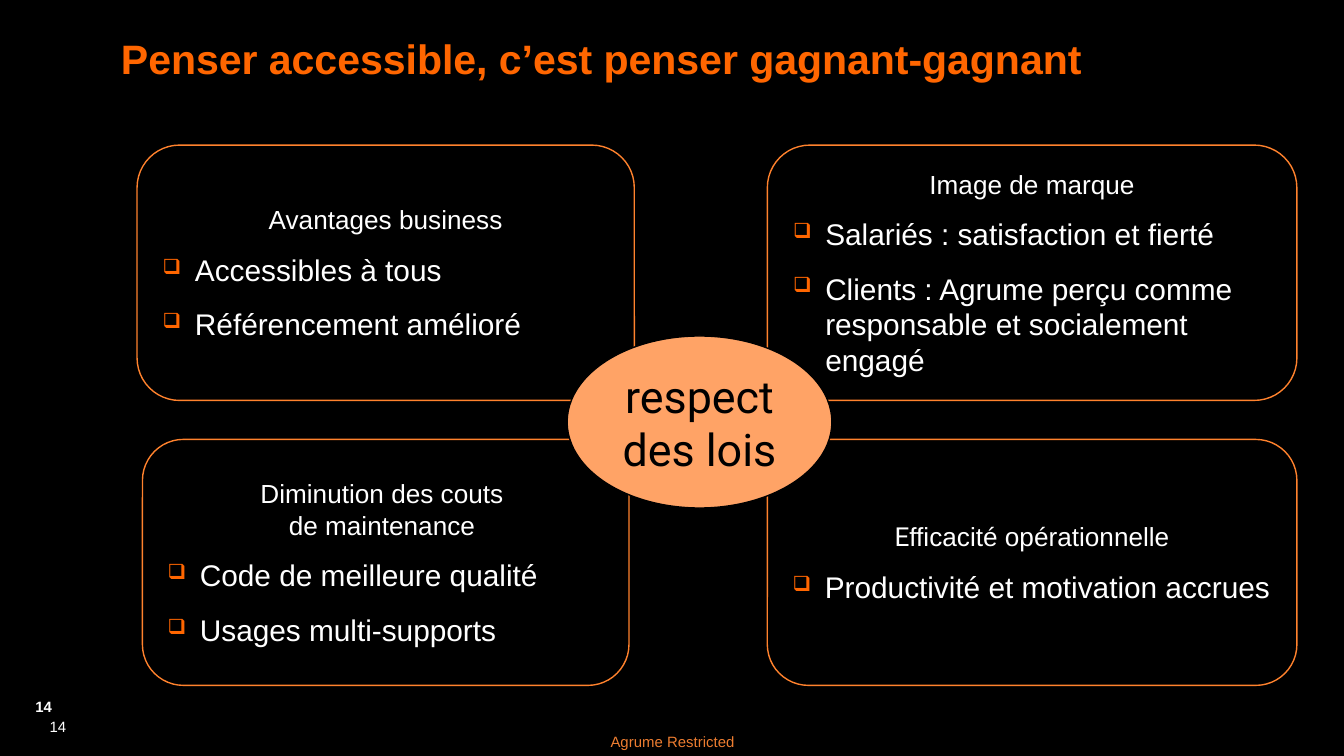
from dataclasses import dataclass

from lxml import etree
from pptx import Presentation
from pptx import util as u
from pptx.dml.color import RGBColor
from pptx.enum import shapes, text
from pptx.oxml.ns import qn


@dataclass(frozen=True)
class Theme:
    ground: str = "000000"
    ink: str = "FFFFFF"
    accent: str = "FF6600"
    outline: str = "FF822D"
    core: str = "FFA366"
    notice: str = "ED7D31"
    sans: str = "Arial"
    display: str = "Roboto"
    title: int = 22
    core_size: int = 24
    item: int = 16
    heading: int = 14
    small: int = 8


class SlideBuilder:
    """Places elements on a grid of 100 columns; cells are square."""

    COLUMNS = 100

    def __init__(self, deck, theme):
        self.theme = theme
        self.cell = deck.slide_width / self.COLUMNS
        self.page = deck.slides.add_slide(deck.slide_layouts[5])
        self.paint(self.page.background.fill, theme.ground)

    def area(self, *cells):
        return [u.Emu(round(value * self.cell)) for value in cells]

    @staticmethod
    def paint(fill, color):
        fill.solid()
        fill.fore_color.rgb = RGBColor.from_string(color)

    def frame(self, box, anchor, margins=(0, 0), wrap=True):
        frame = box.text_frame
        frame.word_wrap = wrap
        frame.auto_size = text.MSO_AUTO_SIZE.NONE
        frame.vertical_anchor = anchor
        frame.margin_left = frame.margin_right = u.Inches(margins[0])
        frame.margin_top = frame.margin_bottom = u.Inches(margins[1])
        return frame

    def add_words(self, para, words, size, color, font=None, bold=False):
        for number, line in enumerate(words.split("\n")):
            if number:
                para.add_line_break()
            span = para.add_run()
            span.text = line
            span.font.size = u.Pt(size)
            span.font.bold = bold
            span.font.name = font or self.theme.sans
            span.font.color.rgb = RGBColor.from_string(color)

    def bullet(self, para):
        props = para._p.get_or_add_pPr()
        indent = u.Inches(0.24)
        props.set("marL", str(indent))
        props.set("indent", str(-indent))
        color = etree.SubElement(props, qn("a:buClr"))
        etree.SubElement(color, qn("a:srgbClr"), val=self.theme.accent)
        etree.SubElement(props, qn("a:buSzPct"), val="70000")
        etree.SubElement(props, qn("a:buChar"), char="❑")

    def title(self, words, *cells):
        box = self.page.shapes.title
        box.left, box.top, box.width, box.height = self.area(*cells)
        para = self.frame(box, text.MSO_ANCHOR.TOP).paragraphs[0]
        para.alignment = text.PP_ALIGN.LEFT
        para.line_spacing = 0.9
        self.add_words(para, words, self.theme.title, self.theme.accent, bold=True)

    def label(self, words, *cells, color, align, anchor, bold=False, margins=(0, 0)):
        box = self.page.shapes.add_textbox(*self.area(*cells))
        para = self.frame(box, anchor, margins).paragraphs[0]
        para.alignment = align
        self.add_words(para, words, self.theme.small, color, bold=bold)

    def shape(self, kind, cells, line):
        box = self.page.shapes.add_shape(kind, *self.area(*cells))
        box.shadow.inherit = False
        box.fill.background()
        box.line.color.rgb = RGBColor.from_string(line)
        box.line.width = u.Pt(0.75)
        frame = self.frame(box, text.MSO_ANCHOR.MIDDLE, (0.1, 0.05))
        frame.paragraphs[0].alignment = text.PP_ALIGN.CENTER
        return box, frame

    def card(self, cells, heading, items):
        theme = self.theme
        _, frame = self.shape(shapes.MSO_SHAPE.ROUNDED_RECTANGLE, cells, theme.outline)
        para = frame.paragraphs[0]
        para.space_after = u.Pt(8.8)
        for words, font in heading:
            self.add_words(para, words, theme.heading, theme.ink, font)
        for item in items:
            para = frame.add_paragraph()
            para.alignment = text.PP_ALIGN.LEFT
            para.space_after = u.Pt(10)
            self.bullet(para)
            self.add_words(para, item, theme.item, theme.ink)

    def core(self, words, *cells):
        theme = self.theme
        box, frame = self.shape(shapes.MSO_SHAPE.OVAL, cells, theme.ground)
        self.paint(box.fill, theme.core)
        self.add_words(frame.paragraphs[0], words, theme.core_size, theme.ground, theme.display)


def main():
    deck = Presentation()
    deck.slide_width = u.Inches(10)
    deck.slide_height = deck.slide_width * 9 // 16
    theme = Theme()
    slide = SlideBuilder(deck, theme)
    align, anchor = text.PP_ALIGN, text.MSO_ANCHOR

    # Footer
    slide.label("14", 3.7, 51, 3, 3.7, color=theme.ink,
                align=align.LEFT, anchor=anchor.BOTTOM)
    slide.label("Agrume Restricted", 43.8, 54.5, 12.5, 1.3, color=theme.notice,
                align=align.CENTER, anchor=anchor.MIDDLE)
    slide.label("14", -0.6, 51.4, 7.7, 2.6, color=theme.ink, bold=True,
                align=align.CENTER, anchor=anchor.TOP, margins=(0.1, 0.05))

    # Title
    slide.title("Penser accessible, c’est penser gagnant-gagnant", 9, 2.9, 88.2, 8.1)

    # Four benefits: each column is centred on one axis, each row shares its top
    left, right = 28.7, 76.8
    upper, lower = (10.8, 19), (32.7, 18.3)
    sans = theme.sans
    cards = [
        (left, 37, upper, [("Avantages business", sans)],
         ["Accessibles à tous", "Référencement amélioré"]),
        (right, 39.4, upper, [("Image de marque", sans)],
         ["Salariés : satisfaction et fierté",
          "Clients : Agrume perçu comme responsable et socialement engagé"]),
        (left, 36.2, lower, [("Diminution des couts \nde maintenance ", sans)],
         ["Code de meilleure qualité", "Usages multi-supports"]),
        (right, 39.4, lower, [("E", theme.display), ("fficacité opérationnelle", sans)],
         ["Productivité et motivation accrues"]),
    ]
    for axis, width, (top, height), heading, items in cards:
        slide.card((axis - width / 2, top, width, height), heading, items)

    # Shared core
    slide.core("respect des lois", 42.2, 25, 19.7, 12.8)

    deck.save("out.pptx")


if __name__ == "__main__":
    main()
